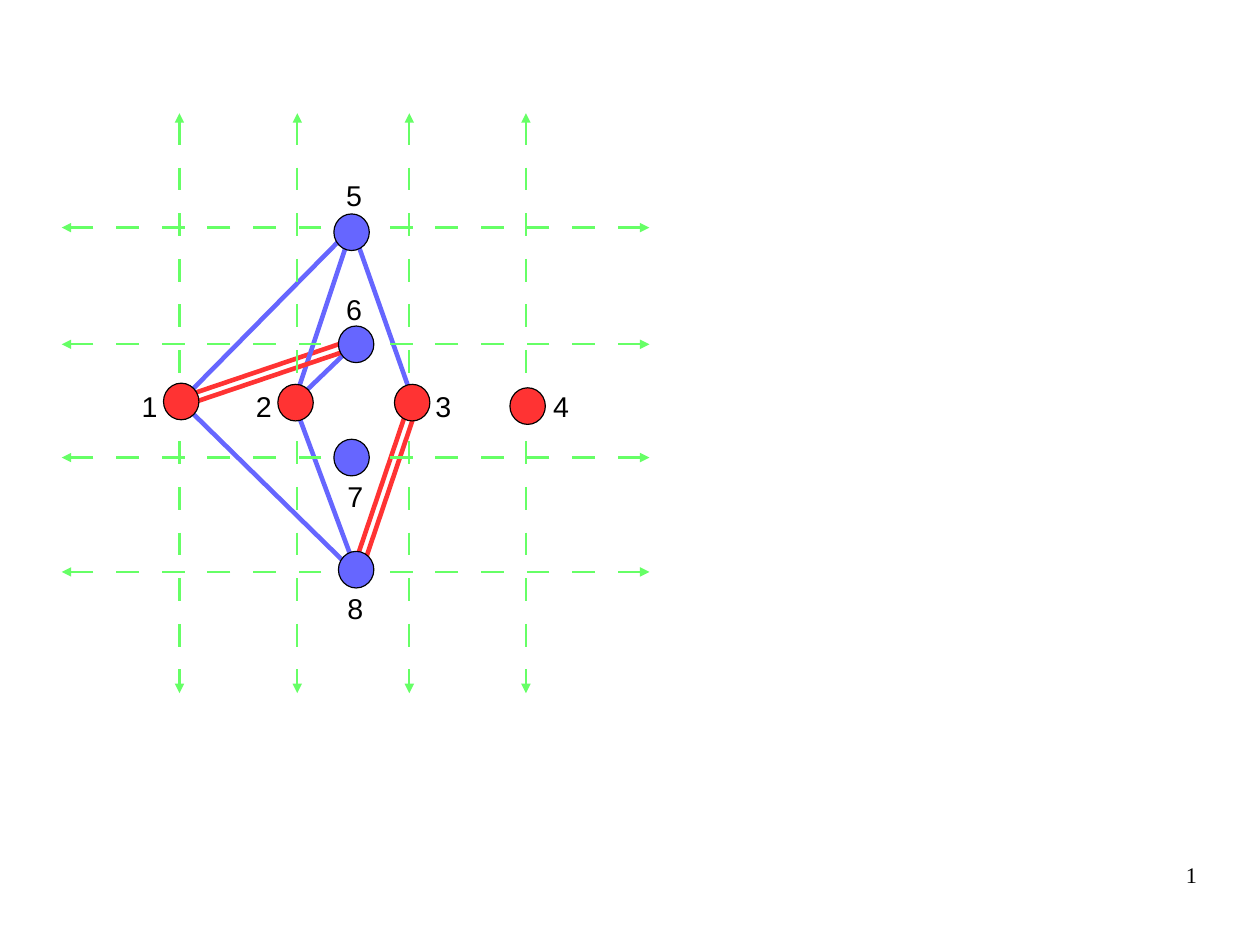
import lxml.etree
import pptx
import pptx.dml.color
import pptx.enum.shapes
import pptx.enum.text
import pptx.oxml.ns
import pptx.util
from pptx.util import Inches

RED = pptx.dml.color.RGBColor(0xFF, 0x33, 0x33)
BLUE = pptx.dml.color.RGBColor(0x66, 0x66, 0xFF)
GREEN = pptx.dml.color.RGBColor(0x66, 0xFF, 0x66)
BLACK = pptx.dml.color.RGBColor(0, 0, 0)

NODE_WIDTH, NODE_HEIGHT = 0.31, 0.32
EDGE_WIDTH, GRID_WIDTH = 2.89, 1.45

EDGES = [
    ((3.58, 3.52), (3.08, 5), RED),
    ((1.57, 3.48), (3.08, 2.97), RED),
    ((3.62, 3.52), (3.08, 1.99), BLUE),
    ((2.57, 3.52), (3.08, 1.99), BLUE),
    ((2.57, 3.52), (3.1, 3.01), BLUE),
    ((1.57, 3.56), (3.08, 3.05), RED),
    ((3.66, 3.52), (3.16, 5), RED),
    ((2.57, 3.52), (3.12, 5), BLUE),
    ((1.59, 3.52), (3.12, 5.02), BLUE),
    ((1.57, 3.52), (3.08, 1.99), BLUE),
]
GRID_COLUMNS = [4.6, 3.58, 2.6, 1.57]
GRID_ROWS = [5, 4, 3.01, 1.99]
GRID_LEFT, GRID_RIGHT, GRID_TOP, GRID_BOTTOM = 0.54, 5.68, 0.99, 6.06

# name, colour, corner of the circle, corner of the label
NODES = [
    ("1", RED, (1.43, 3.35), (1.14, 3.35)),
    ("2", RED, (2.43, 3.36), (2.14, 3.35)),
    ("3", RED, (3.45, 3.36), (3.71, 3.35)),
    ("4", RED, (4.46, 3.39), (4.74, 3.35)),
    ("5", BLUE, (2.92, 1.87), (2.93, 1.51)),
    ("6", BLUE, (2.96, 2.85), (2.93, 2.5)),
    ("7", BLUE, (2.92, 3.84), (2.94, 4.14)),
    ("8", BLUE, (2.96, 4.82), (2.94, 5.12)),
]


def add_line(slide, start, end, color, width):
    line = slide.shapes.add_connector(
        pptx.enum.shapes.MSO_CONNECTOR.STRAIGHT,
        *(Inches(value) for value in (*start, *end)))
    line.line.color.rgb = color
    line.line.width = pptx.util.Pt(width)
    lxml.etree.SubElement(line._element.spPr, pptx.oxml.ns.qn("a:effectLst"))
    return line


def add_grid_line(slide, start, end):
    """Add a long-dashed line with an arrowhead at both ends."""
    line = add_line(slide, start, end, GREEN, GRID_WIDTH)
    outline = line.line._get_or_add_ln()
    dashes = lxml.etree.SubElement(outline, pptx.oxml.ns.qn("a:custDash"))
    lxml.etree.SubElement(dashes, pptx.oxml.ns.qn("a:ds"), d="993000", sp="993000")
    for tag in ("a:headEnd", "a:tailEnd"):
        lxml.etree.SubElement(outline, pptx.oxml.ns.qn(tag), type="triangle")


def add_node(slide, corner, color):
    left, top = corner
    node = slide.shapes.add_shape(
        pptx.enum.shapes.MSO_SHAPE.OVAL, Inches(left), Inches(top),
        Inches(NODE_WIDTH), Inches(NODE_HEIGHT))
    node.shadow.inherit = False
    node.fill.solid()
    node.fill.fore_color.rgb = color
    node.line.color.rgb = BLACK
    node.line.width = 0


def add_text(slide, text, box, font_format, frame_format, alignment):
    shape = slide.shapes.add_textbox(*(Inches(value) for value in box))
    for name, value in frame_format.items():
        setattr(shape.text_frame, name, value)
    paragraph = shape.text_frame.paragraphs[0]
    paragraph.alignment = alignment
    run = paragraph.add_run()
    run.text = text
    run.font.color.rgb = BLACK
    for name, value in font_format.items():
        setattr(run.font, name, value)


def main():
    presentation = pptx.Presentation()
    presentation.slide_width = Inches(11.02)
    presentation.slide_height = Inches(8.27)
    slide = presentation.slides.add_slide(presentation.slide_layouts[6])

    for start, end, color in EDGES:
        add_line(slide, start, end, color, EDGE_WIDTH)
    for x in GRID_COLUMNS:
        add_grid_line(slide, (x, GRID_TOP), (x, GRID_BOTTOM))
    for y in GRID_ROWS:
        add_grid_line(slide, (GRID_RIGHT, y), (GRID_LEFT, y))
    for _, color, corner, _ in NODES:
        add_node(slide, corner, color)

    label_font = {"name": "Arial", "size": pptx.util.Pt(18)}
    label_frame = {"word_wrap": False,
                   "auto_size": pptx.enum.text.MSO_AUTO_SIZE.SHAPE_TO_FIT_TEXT}
    for name, _, _, label_corner in NODES:
        add_text(slide, name, (*label_corner, 0.34, 0.38), label_font,
                 label_frame, pptx.enum.text.PP_ALIGN.LEFT)

    number_font = {"name": "Times New Roman", "size": pptx.util.Pt(14)}
    number_frame = {"word_wrap": True, "margin_left": 0, "margin_right": 0,
                    "margin_top": 0, "margin_bottom": 0}
    add_text(slide, "1", (7.9, 7.53, 2.57, 0.57), number_font, number_frame,
             pptx.enum.text.PP_ALIGN.RIGHT)

    presentation.save("out.pptx")


if __name__ == "__main__":
    main()
